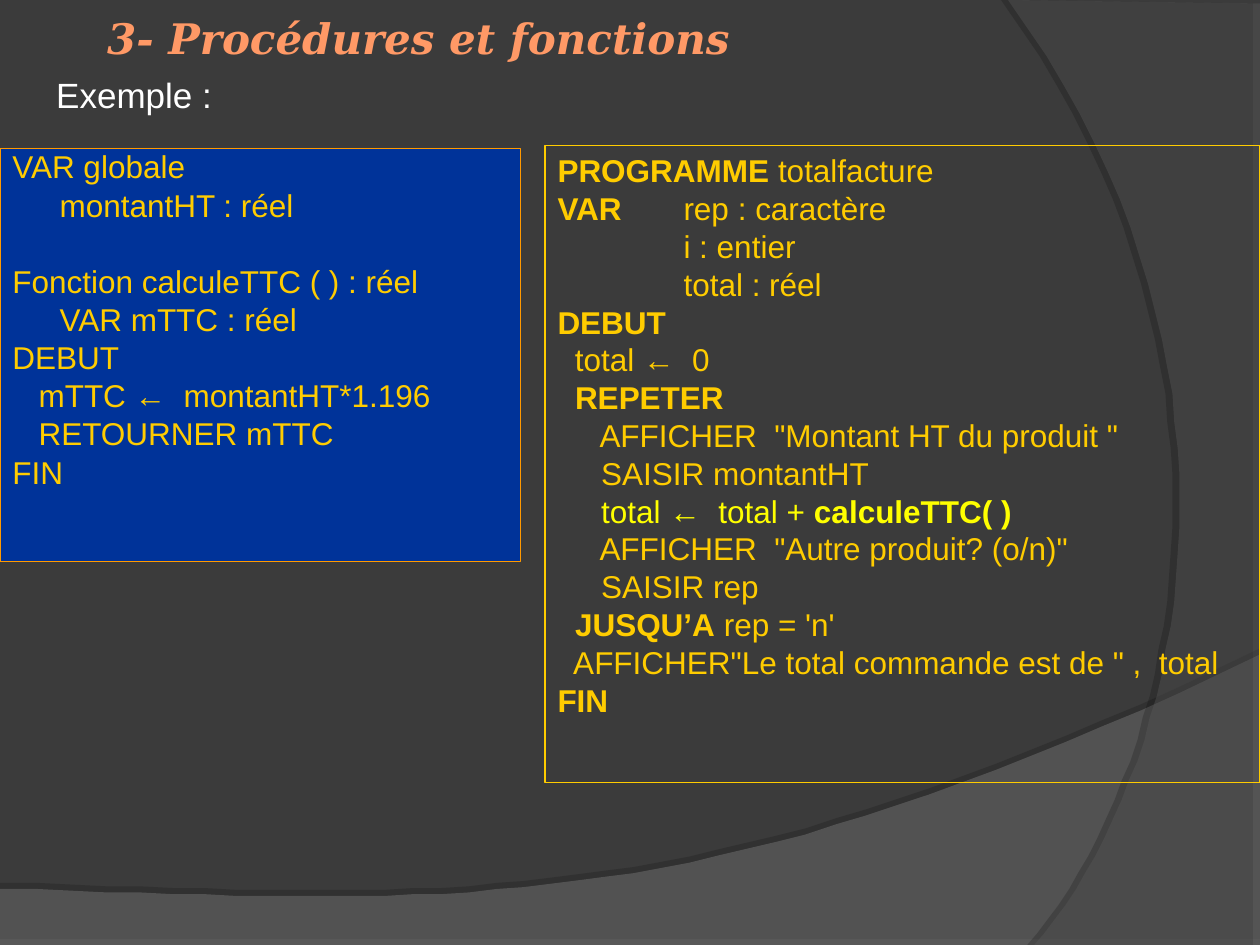
from lxml import etree
from pptx import Presentation
from pptx.dml.color import RGBColor
from pptx.enum import shapes, text
from pptx.oxml import ns
from pptx.util import Pt

BACKGROUND = RGBColor(0x3B, 0x3B, 0x3B)
LOWER_WAVE = RGBColor(0x7C, 0x7C, 0x7C)
RIGHT_ARC = RGBColor(0x59, 0x59, 0x59)
SALMON = RGBColor(0xFF, 0x99, 0x66)
BLUE = RGBColor(0x00, 0x33, 0x99)
ORANGE = RGBColor(0xFF, 0x99, 0x00)
GOLD = RGBColor(0xFF, 0xCC, 0x00)
YELLOW = RGBColor(0xFF, 0xFF, 0x00)
WHITE = RGBColor(0xFF, 0xFF, 0xFF)

FUNCTION_LINES = [
    "VAR globale",
    "\tmontantHT : réel",
    "Fonction calculeTTC ( ) : réel",
    "\tVAR mTTC : réel",
    "DEBUT",
    "   mTTC ←  montantHT*1.196",
    "   RETOURNER mTTC",
    "FIN",
]

# Each program line alternates plain and bold pieces, starting with plain
PROGRAM_LINES = [
    ("", "PROGRAMME", " totalfacture"),
    ("", "VAR", "\trep : caractère"),
    ("\t\ti : entier",),
    ("\t\ttotal : réel",),
    ("", "DEBUT"),
    ("  total ←  0",),
    ("  ", "REPETER"),
    ('     AFFICHER  "Montant HT du produit "',),
    ("     SAISIR montantHT",),
    ("     total ←  total +", " calculeTTC( )"),
    ('     AFFICHER  "Autre produit? (o/n)"',),
    ("     SAISIR rep",),
    ("  ", "JUSQU’A", " rep = 'n'"),
    ('  AFFICHER"Le total commande est de " ,  total',),
    ("", "FIN"),
]


def bezier(start, control_1, control_2, end, steps=40):
    """Points along a cubic curve, after its start."""
    points = []
    for step in range(1, steps + 1):
        t = step / steps
        weights = ((1 - t) ** 3, 3 * t * (1 - t) ** 2, 3 * t * t * (1 - t), t ** 3)
        corners = (start, control_1, control_2, end)
        points.append(tuple(sum(w * c[axis] for w, c in zip(weights, corners))
                            for axis in (0, 1)))
    return points


def add_color(parent, color, opacity):
    element = etree.SubElement(parent, ns.qn("a:srgbClr"), val=str(color))
    etree.SubElement(element, ns.qn("a:alpha"), val=str(opacity * 1000))


def add_backdrop(slide, points, color, opacity, shadow_opacity, distance, direction):
    builder = slide.shapes.build_freeform(*points[0], scale=Pt(1))
    builder.add_line_segments(points[1:], close=True)
    shape = builder.convert_to_shape()
    shape.fill.solid()
    shape.fill.fore_color.rgb = color
    shape.line.fill.background()
    shape.shadow.inherit = False
    properties = shape._element.spPr
    fill_color = properties.find(ns.qn("a:solidFill"))[0]
    etree.SubElement(fill_color, ns.qn("a:alpha"), val=str(opacity * 1000))
    shadow = etree.SubElement(
        properties.find(ns.qn("a:effectLst")), ns.qn("a:outerShdw"), blurRad="0",
        dist=str(Pt(distance)), dir=str(direction * 60000), rotWithShape="0")
    add_color(shadow, RGBColor(0, 0, 0), shadow_opacity)


def format_font(paragraph, name, size, color):
    font = paragraph.font
    font.name, font.size = name, Pt(size)
    font.color.rgb = color


def add_code_box(slide, left, top, width, height, line_color, fill_color=None):
    box = slide.shapes.add_shape(shapes.MSO_SHAPE.RECTANGLE,
                                 Pt(left), Pt(top), Pt(width), Pt(height))
    box.shadow.inherit = False
    if fill_color is None:
        box.fill.background()
    else:
        box.fill.solid()
        box.fill.fore_color.rgb = fill_color
    box.line.color.rgb = line_color
    box.line.width = Pt(0.75)
    box.text_frame.word_wrap = True
    box.text_frame.vertical_anchor = text.MSO_ANCHOR.TOP
    return box.text_frame


def add_code_line(frame, index, line_height, color):
    paragraph = frame.add_paragraph() if index else frame.paragraphs[0]
    paragraph.alignment = text.PP_ALIGN.LEFT
    paragraph.line_spacing = Pt(line_height)
    format_font(paragraph, "Arial", 18, color)
    return paragraph


def add_function_code(slide):
    frame = add_code_box(slide, 0, 85, 297.5, 236, ORANGE, BLUE)
    for index, line in enumerate(FUNCTION_LINES):
        paragraph = add_code_line(frame, index, 17.3, GOLD)
        paragraph.add_run().text = line
        if index:
            # The function is set apart from the global variable
            paragraph.space_before = Pt(26.3 if line.startswith("Fonction") else 4.5)
        indents = paragraph._p.get_or_add_pPr()
        indents.set("marL", str(Pt(27)))
        indents.set("indent", str(Pt(-27)))


def add_program_code(slide):
    frame = add_code_box(slide, 311.5, 83, 408.5, 364, GOLD)
    for index, pieces in enumerate(PROGRAM_LINES):
        color = YELLOW if " calculeTTC( )" in pieces else GOLD
        paragraph = add_code_line(frame, index, 21.6, color)
        for position, piece in enumerate(pieces):
            if piece:
                run = paragraph.add_run()
                run.text = piece
                run.font.bold = position % 2 == 1


def format_title(slide):
    title = slide.shapes.title
    title.left, title.top, title.width, title.height = Pt(54), Pt(0), Pt(612), Pt(43)
    title.text_frame.text = "3- Procédures et fonctions"
    title.text_frame.vertical_anchor = text.MSO_ANCHOR.MIDDLE
    paragraph = title.text_frame.paragraphs[0]
    paragraph.alignment = text.PP_ALIGN.LEFT
    format_font(paragraph, "DejaVu Serif", 24, SALMON)
    paragraph.font.bold = paragraph.font.italic = True
    slide.shapes._spTree.append(title._element)  # in front of the backdrop


def add_example_label(slide):
    label = slide.shapes.add_textbox(Pt(25), Pt(43), Pt(176), Pt(27))
    label.text_frame.word_wrap = True
    paragraph = label.text_frame.paragraphs[0]
    paragraph.text = "Exemple :"
    paragraph.line_spacing = 0.8
    format_font(paragraph, "Arial", 20, WHITE)


def main():
    presentation = Presentation()
    presentation.slide_width, presentation.slide_height = Pt(720), Pt(540)
    slide = presentation.slides.add_slide(presentation.slide_layouts[5])
    slide.background.fill.solid()
    slide.background.fill.fore_color.rgb = BACKGROUND

    # Curved backdrop
    wave = bezier((720, 374.4), (402.5, 525), (281.5, 517.7), (0, 507.6))
    add_backdrop(slide, [(0, 540), (720, 540), (720, 374.4)] + wave,
                 LOWER_WAVE, 45, 35, 3.5, 270)
    arc = bezier((591, 540), (673.2, 445.7), (733, 216), (576, 0))
    add_backdrop(slide, [(720, 1.5), (720, 540), (591, 540)] + arc,
                 RIGHT_ARC, 40, 45, 4, 180)

    # Heading and code
    format_title(slide)
    add_function_code(slide)
    add_program_code(slide)
    add_example_label(slide)
    presentation.save("out.pptx")


if __name__ == "__main__":
    main()
